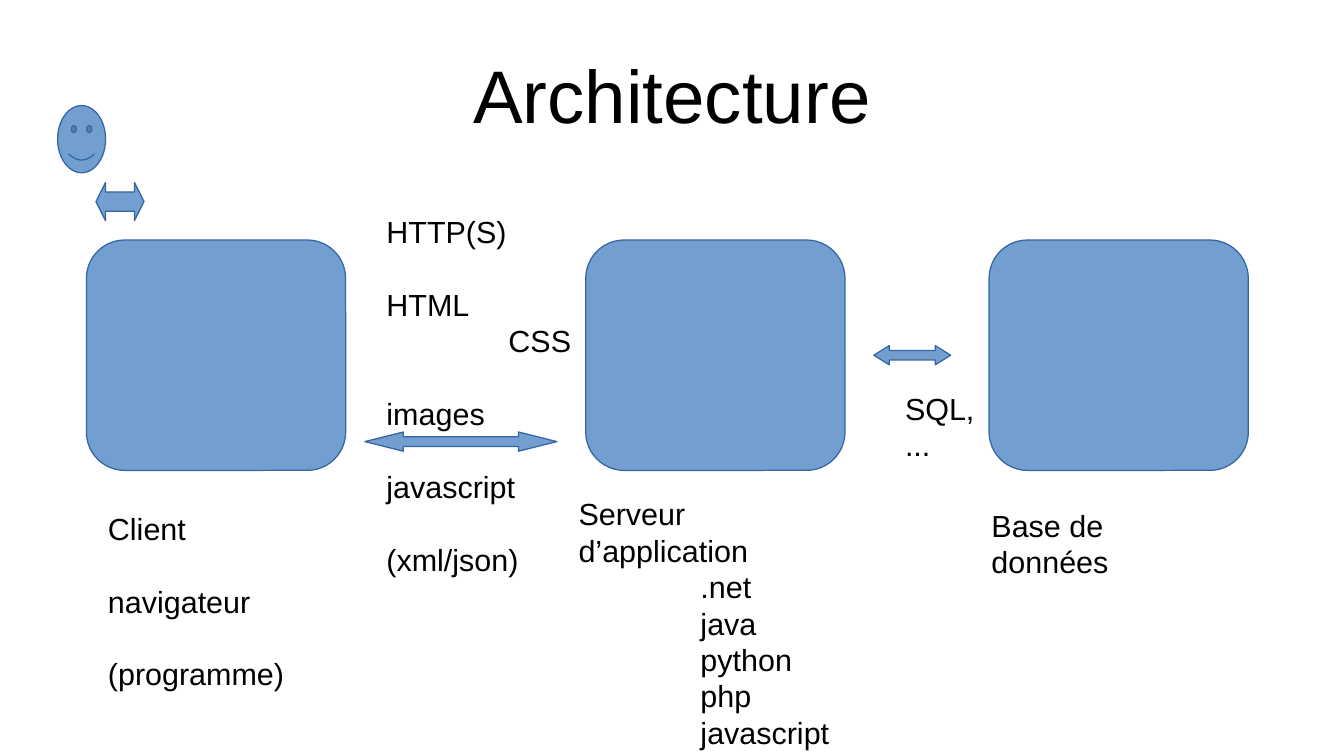
from pptx import Presentation
from pptx.dml.color import RGBColor
from pptx.enum.shapes import MSO_SHAPE
from pptx.enum.text import MSO_ANCHOR, PP_ALIGN
from pptx.util import Cm, Inches, Pt

BLACK = RGBColor(0x00, 0x00, 0x00)
SKY = RGBColor(0x72, 0x9F, 0xCF)
NAVY = RGBColor(0x34, 0x65, 0xA4)

ROUNDED = MSO_SHAPE.ROUNDED_RECTANGLE
DOUBLE_ARROW = MSO_SHAPE.LEFT_RIGHT_ARROW
SMILEY = MSO_SHAPE.SMILEY_FACE
MIDDLE, TOP = MSO_ANCHOR.MIDDLE, MSO_ANCHOR.TOP
CENTER, LEFT = PP_ALIGN.CENTER, PP_ALIGN.LEFT

CELL = Cm(0.1)
TAB = Inches(1)
PITCH = Pt(21.5)


def assign(target, values):
    for name, value in values.items():
        setattr(target, name, value)


class Board:
    font = {"name": "Arial", "size": Pt(18)}

    def __init__(self, slide):
        self.slide = slide

    def place(self, column, row, columns, rows):
        return [round(count * CELL) for count in (column, row, columns, rows)]

    def shape(self, kind, area, adjustment=None):
        shape = self.slide.shapes.add_shape(kind, *self.place(*area))
        shape.shadow.inherit = False
        shape.fill.solid()
        shape.fill.fore_color.rgb = SKY
        shape.line.color.rgb = NAVY
        shape.line.width = Pt(0.75)
        if adjustment is not None:
            shape.adjustments[0] = 0.5
            shape.adjustments[1] = adjustment

    def frame(self, area, inset_x, inset_y, anchor):
        frame = self.slide.shapes.add_textbox(*self.place(*area)).text_frame
        assign(frame, {
            "word_wrap": True, "vertical_anchor": anchor,
            "margin_left": inset_x, "margin_right": inset_x,
            "margin_top": inset_y, "margin_bottom": inset_y,
        })
        return frame

    def fill_paragraph(self, paragraph, text, font, layout):
        run = paragraph.add_run()
        run.text = text
        assign(run.font, font)
        run.font.color.rgb = BLACK
        assign(paragraph, layout)

    def title(self, area, text):
        frame = self.frame(area, 0, 0, MIDDLE)
        self.fill_paragraph(frame.paragraphs[0], text,
                            {**self.font, "size": Pt(44)},
                            {"alignment": CENTER})

    def label(self, area, lines):
        frame = self.frame(area, Inches(0.1), Inches(0.05), TOP)
        for index, (text, indent, skipped) in enumerate(lines):
            paragraph = frame.add_paragraph() if index else frame.paragraphs[0]
            self.fill_paragraph(paragraph, text, self.font, {
                "alignment": LEFT, "line_spacing": PITCH,
                "space_before": skipped * PITCH,
            })
            if indent:
                paragraph._p.get_or_add_pPr().set("marL", str(indent))


def main():
    presentation = Presentation()
    presentation.slide_width = Inches(11.02)
    presentation.slide_height = Inches(6.2)
    board = Board(presentation.slides.add_slide(presentation.slide_layouts[6]))

    board.title((14, 6.3, 252, 26.4), "Architecture")
    for column in (18, 122, 206):
        board.shape(ROUNDED, (column, 50, 54, 48))
    board.shape(SMILEY, (12, 22, 10, 14))
    for area, head in (
        ((76, 90, 40, 4), 2),
        ((182, 72, 16, 4), 0.8),
        ((20, 38, 10, 8), 0.25),
    ):
        board.shape(DOUBLE_ARROW, area, head)

    languages = (".net", "java", "python", "php", "javascript")
    labels = (
        ((204, 104.4, 51, 17), [("Base de données", 0, 0)]),
        ((118, 102, 61, 53),
         [("Serveur d’application", 0, 0)]
         + [(language, TAB, 0) for language in languages]),
        ((20, 105, 58, 42),
         [("Client", 0, 0), ("navigateur", 0, 1), ("(programme)", 0, 1)]),
        ((186, 80, 22, 17), [("SQL,", 0, 0), ("...", 0, 0)]),
        ((78, 43.2, 45, 78),
         [("HTTP(S)", 0, 0), ("HTML", 0, 1), ("CSS", TAB, 0),
          ("images", 0, 1), ("javascript", 0, 1), ("(xml/json)", 0, 1)]),
    )
    for area, lines in labels:
        board.label(area, lines)

    presentation.save("out.pptx")


if __name__ == "__main__":
    main()
